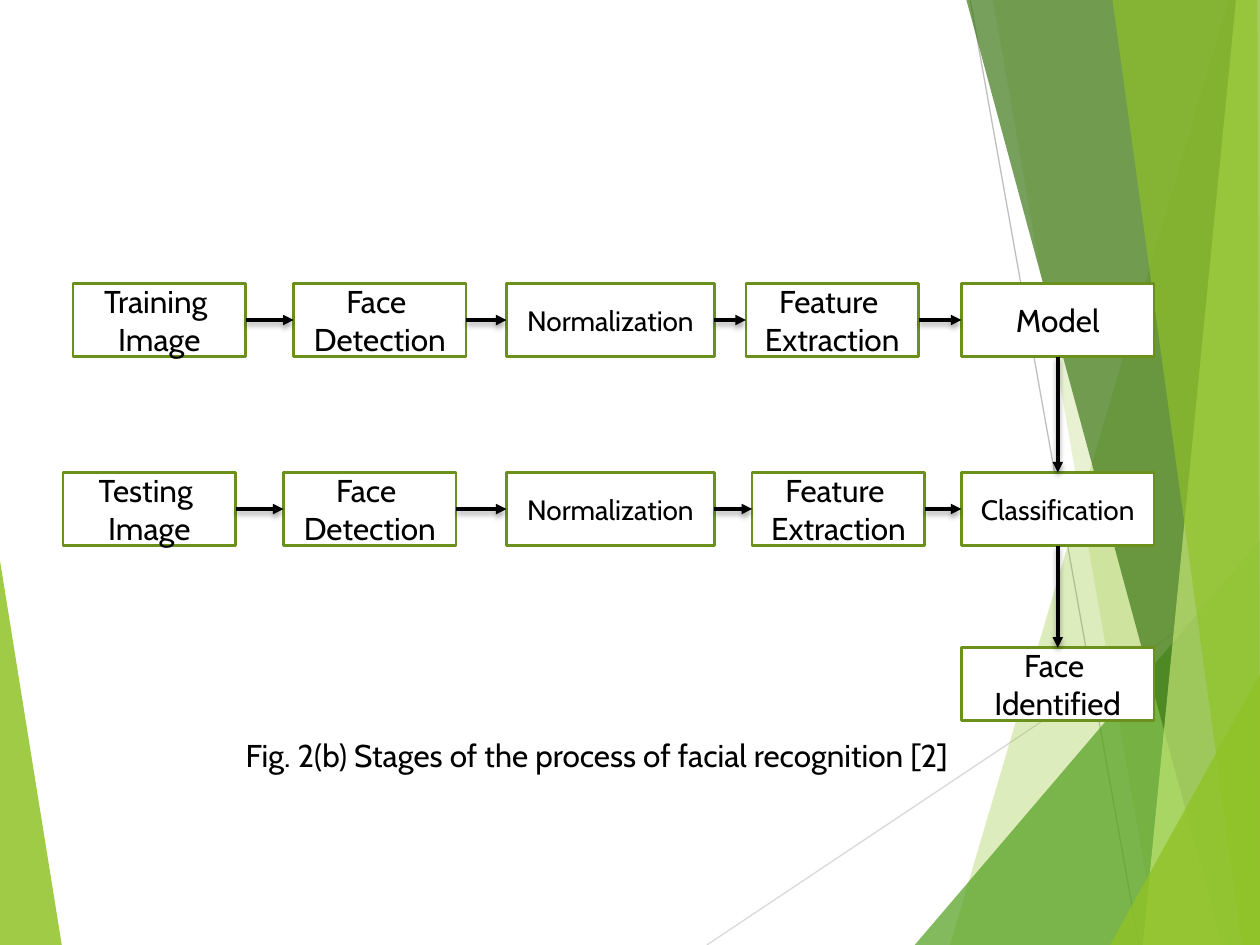
"""Build a slide showing the stages of facial recognition as a flow chart."""
from itertools import pairwise

from lxml import etree
from pptx import Presentation
from pptx import util as u
from pptx.dml.color import RGBColor
from pptx.enum import shapes, text
from pptx.oxml import parse_xml
from pptx.oxml.ns import nsdecls, qn

BLACK = RGBColor(0, 0, 0)
WHITE = RGBColor(255, 255, 255)
BORDER = RGBColor(0x6B, 0x90, 0x1C)
LIME = RGBColor(0x90, 0xC2, 0x26)
GREEN = RGBColor(0x54, 0xA0, 0x21)
DARK = RGBColor(0x3F, 0x78, 0x19)
PALE = RGBColor(0xC0, 0xE4, 0x74)
GREY = RGBColor(0xBF, 0xBF, 0xBF)
LIGHT_GREY = RGBColor(0xD9, 0xD9, 0xD9)

FONT = "Cabin"
W, H = 10, 7.5
BOX_H = 0.58
TOP, MIDDLE, BOTTOM = 2.25, 3.75, 5.14
NARROW, WIDE, LAST = 1.37, 1.65, 1.53
NORM_X, LAST_X = 4.02, 7.63

RAYS = [((5.61, H), (W, 4.57), LIGHT_GREY), ((7.7, 0), (9.04, H), GREY)]
FACETS = [
    (LIME, 85, [(0, 4.45), (0.49, H), (0, H)]),
    (LIME, 30, [(9.75, 0), (7.54, H), (W, H), (W, 0)]),
    (LIME, 20, [(7.88, 0), (9.19, H), (W, H), (W, 0)]),
    (GREEN, 72, [(7.26, H), (W, 4.29), (W, H)]),
    (DARK, 70, [(7.67, 0), (9.7, H), (W, H), (W, 0)]),
    (PALE, 70, [(9.81, 0), (9.07, H), (W, H), (W, 0)]),
    (LIME, 65, [(8.83, 0), (9.86, H), (W, H), (9.98, 0)]),
    (LIME, 80, [(8.81, H), (W, 5.35), (W, H)]),
]

# Each stage: label, left, width, font size
TRAINING = [
    ("Training \nImage", 0.58, NARROW, 18),
    ("Face \nDetection", 2.33, NARROW, 18),
    ("Normalization", NORM_X, WIDE, 16),
    ("Feature \nExtraction", 5.92, NARROW, 18),
    ("Model", LAST_X, LAST, 18),
]
TESTING = [
    ("Testing \nImage", 0.5, NARROW, 18),
    ("Face \nDetection", 2.25, NARROW, 18),
    ("Normalization", NORM_X, WIDE, 16),
    ("Feature \nExtraction", 5.97, NARROW, 18),
    ("Classification", LAST_X, LAST, 16),
]
RESULT = [("Face \nIdentified", LAST_X, LAST, 18)]
CAPTION = "Fig. 2(b) Stages of the process of facial recognition [2]"

SHADOW = (
    f'<a:effectLst {nsdecls("a")}><a:outerShdw blurRad="38100" dist="25400" '
    'dir="5400000" rotWithShape="0"><a:srgbClr val="000000">'
    '<a:alpha val="35000"/></a:srgbClr></a:outerShdw></a:effectLst>'
)
SITE_TOP, SITE_LEFT, SITE_BOTTOM, SITE_RIGHT = range(4)


def write(tf, content, size, align):
    """Fill a text frame with evenly formatted paragraphs."""
    tf.word_wrap = True
    tf.text = content
    for p in tf.paragraphs:
        p.alignment = align
        for r in p.runs:
            r.font.size = u.Pt(size)
            r.font.name = FONT
            r.font.color.rgb = BLACK


def add_line(slide, start, end, color, width):
    """Add a straight connector without theme effects."""
    line = slide.shapes.add_connector(
        shapes.MSO_CONNECTOR.STRAIGHT, *map(u.Inches, (*start, *end)))
    line.line.color.rgb = color
    line.line.width = u.Pt(width)
    etree.SubElement(line._element.spPr, qn("a:effectLst"))
    return line


def add_facet(slide, color, opacity, points):
    """Add a translucent polygon."""
    first, *rest = [(u.Inches(x), u.Inches(y)) for x, y in points]
    builder = slide.shapes.build_freeform(*first)
    builder.add_line_segments(rest, close=True)
    sp = builder.convert_to_shape()
    sp.shadow.inherit = False
    sp.fill.solid()
    sp.fill.fore_color.rgb = color
    sp.line.fill.background()
    rgb = sp._element.spPr.find(".//" + qn("a:srgbClr"))
    etree.SubElement(rgb, qn("a:alpha"), val=str(opacity * 1000))


def add_stage(slide, label, left, top, width, size):
    """Add one outlined box of the flow chart."""
    sp = slide.shapes.add_shape(
        shapes.MSO_SHAPE.RECTANGLE, *map(u.Inches, (left, top, width, BOX_H)))
    sp.shadow.inherit = False
    sp.fill.solid()
    sp.fill.fore_color.rgb = WHITE
    sp.line.color.rgb = BORDER
    sp.line.width = u.Pt(1.5)
    sp.text_frame.vertical_anchor = text.MSO_ANCHOR.MIDDLE
    write(sp.text_frame, label, size, text.PP_ALIGN.CENTER)
    return sp


def add_arrow(slide, source, source_site, target, target_site):
    """Join two boxes with a shadowed arrow."""
    arrow = add_line(slide, (0, 0), (0, 0), BLACK, 2)
    arrow.begin_connect(source, source_site)
    arrow.end_connect(target, target_site)
    etree.SubElement(arrow.line._get_or_add_ln(), qn("a:tailEnd"), type="triangle")
    sp_pr = arrow._element.spPr
    sp_pr.replace(sp_pr.find(qn("a:effectLst")), parse_xml(SHADOW))


def main():
    """Assemble and save the slide."""
    prs = Presentation()
    prs.slide_width, prs.slide_height = u.Inches(W), u.Inches(H)
    slide = prs.slides.add_slide(prs.slide_layouts[6])

    for start, end, color in RAYS:
        add_line(slide, start, end, color, 0.75)
    for facet in FACETS:
        add_facet(slide, *facet)

    rows = [
        [add_stage(slide, label, left, top, width, size)
         for label, left, width, size in stages]
        for top, stages in ((TOP, TRAINING), (MIDDLE, TESTING), (BOTTOM, RESULT))
    ]
    for row in rows:
        for source, target in pairwise(row):
            add_arrow(slide, source, SITE_RIGHT, target, SITE_LEFT)
    for upper, lower in pairwise(rows):
        add_arrow(slide, upper[-1], SITE_BOTTOM, lower[-1], SITE_TOP)

    caption = slide.shapes.add_textbox(*map(u.Inches, (1.85, 5.79, 6.55, 0.4)))
    write(caption.text_frame, CAPTION, 18, text.PP_ALIGN.LEFT)
    prs.save("out.pptx")


if __name__ == "__main__":
    main()
